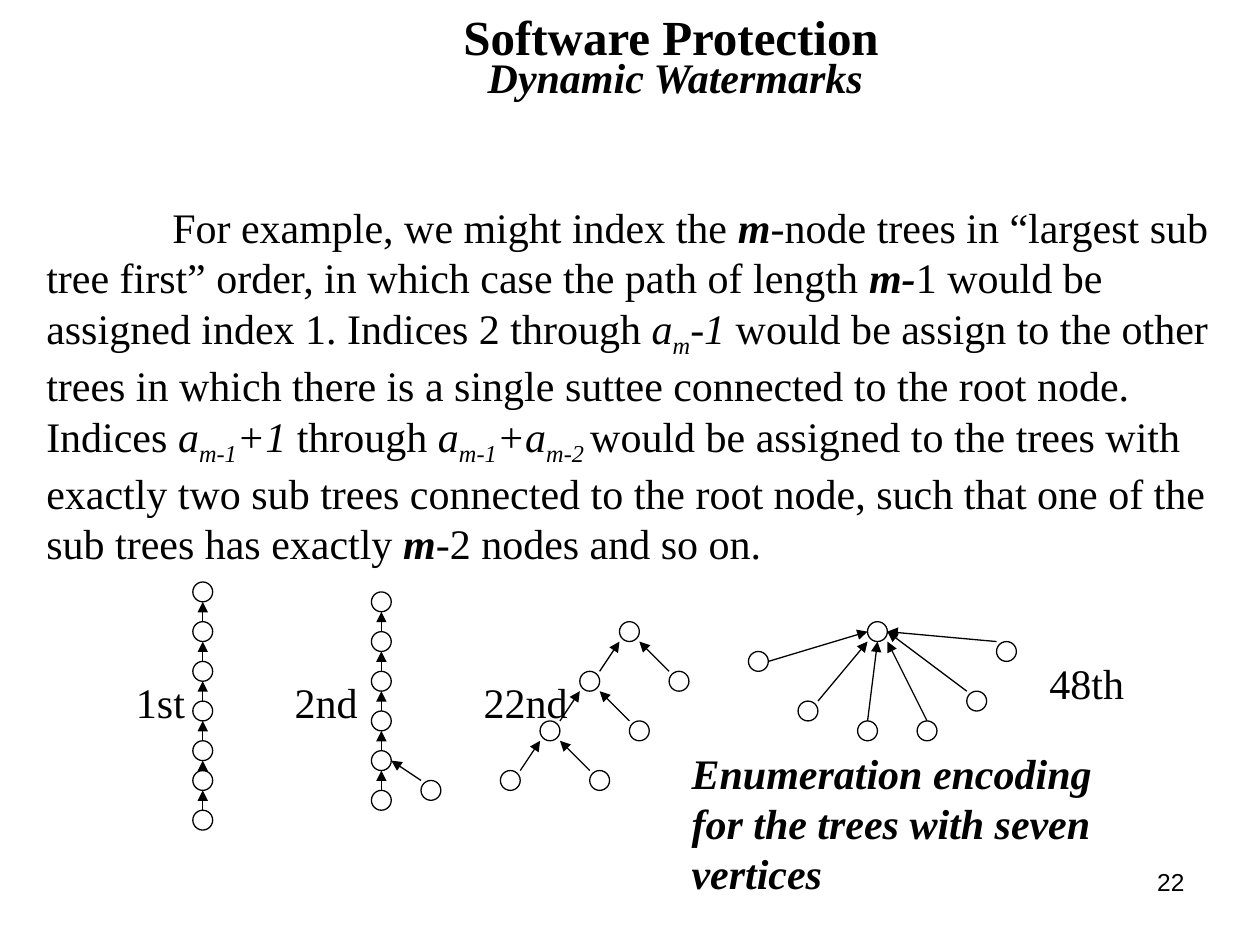
from lxml import etree
from pptx import Presentation
from pptx.dml.color import RGBColor
from pptx.enum import shapes, text
from pptx.oxml import ns
from pptx.util import Pt

BLACK = RGBColor(0, 0, 0)
SERIF = "Times New Roman"
GRID = 5.67  # half a node; all tree nodes sit on this grid
NODE = 2 * GRID
ORIGIN_X, ORIGIN_Y = 110.2, 332.6


def write(box, frame, spans, size=24, font=SERIF, align=text.PP_ALIGN.LEFT, indent=0):
    """Place a box and fill it; span styles are b(old), i(talic), s(ubscript)."""
    box.left, box.top, box.width, box.height = map(Pt, frame)
    body = box.text_frame
    body.word_wrap = True
    body.auto_size = text.MSO_AUTO_SIZE.NONE
    body.vertical_anchor = text.MSO_ANCHOR.TOP
    para = body.paragraphs[0]
    para.alignment = align
    if indent:
        para._p.get_or_add_pPr().set("indent", str(Pt(indent)))
    for words, style in spans:
        span = para.add_run()
        span.text = words
        span.font.name = font
        span.font.size = Pt(size)
        span.font.color.rgb = BLACK
        span.font.bold = "b" in style
        span.font.italic = "i" in style
        if "s" in style:
            span._r.get_or_add_rPr().set("baseline", "-25000")


def add_arrow(page, start, end):
    arrow = page.shapes.add_connector(
        shapes.MSO_CONNECTOR.STRAIGHT, *map(Pt, (*start, *end)))
    arrow.line.color.rgb = BLACK
    arrow.line.width = Pt(0.75)
    line = arrow.line._get_or_add_ln()
    etree.SubElement(line, ns.qn("a:tailEnd"), type="triangle")
    etree.SubElement(arrow._element.spPr, ns.qn("a:effectLst"))


deck = Presentation()
deck.slide_width, deck.slide_height = Pt(720), Pt(540)
page = deck.slides.add_slide(deck.slide_layouts[5])

write(page.shapes.title, (224, 0, 312, 41), [(" Software Protection", "b")],
      size=28, align=text.PP_ALIGN.CENTER)

explanation = [
    ("For example, we might index the ", ""),
    ("m", "bi"),
    ("-node trees in “largest sub tree first” order, in which case the path of length ", ""),
    ("m-", "bi"),
    ("1 would be assigned index 1. Indices 2 through ", ""),
    ("a", "i"), ("m", "is"), ("-1", "i"),
    (" would be assign to the other trees in which there is a single suttee "
     "connected to the root node. Indices ", ""),
    ("a", "i"), ("m-1", "is"), ("+1", "i"),
    (" through ", ""),
    ("a", "i"), ("m-1", "is"), ("+a", "i"), ("m-2 ", "is"),
    ("would be assigned to the trees with exactly two sub trees connected to "
     "the root node, such that one of the sub trees has exactly ", ""),
    ("m", "bi"),
    ("-2 nodes and so on.", ""),
]
caption = "Enumeration encoding for the trees with seven vertices"
for frame, spans, options in [
    ((241.2, 26, 289.4, 36), [("Dynamic Watermarks", "bi")],
     {"align": text.PP_ALIGN.CENTER}),
    ((19.4, 111.6, 700.6, 216.7), explanation, {"indent": 72}),
    ((70.6, 383, 62.6, 36), [("1st", "")], {}),
    ((161.3, 383, 62.6, 36), [("2nd", "")], {}),
    ((269.3, 383, 62.6, 36), [("22nd", "")], {}),
    ((592.6, 372.2, 62.6, 36), [("48th", "")], {}),
    ((388.1, 423.4, 260.6, 93.6), [(caption, "bi")], {}),
    ((516.2, 491.8, 167.8, 37.4), [("22", "")],
     {"size": 14, "font": "Arial", "align": text.PP_ALIGN.RIGHT}),
]:
    write(page.shapes.add_textbox(0, 0, 0, 0), frame, spans, **options)

# Where an arrow leaves the child and meets the parent, in grid steps
# from the top left corner of each node.
UP = ((1, 0), (1, 2))
FROM_LEFT = ((2, 0), (0, 2))
FROM_RIGHT = ((0, 0), (2, 2))
FROM_SIDE = ((0, 0), (2, 1))

# Each node: column, row, index of its parent in the tree, arrow ends.
first = [(0, row, i - 1, UP) for i, row in enumerate([0, 4, 8, 12, 16, 19, 23])]
second = [(18, 1 + 4 * i, i - 1, UP) for i in range(6)] + [(23, 20, 4, FROM_SIDE)]
twenty_second = [(43 - 4 * i, 4 + 5 * i, i - 1, FROM_LEFT) for i in range(4)]
twenty_second += [(48 - 4 * i, 9 + 5 * i, i, FROM_RIGHT) for i in range(3)]
forty_eighth = [
    (68, 4, -1, UP),
    (56, 7, 0, ((2, 1), (0, 1))),
    (61, 12, 0, FROM_LEFT),
    (67, 14, 0, UP),
    (73, 14, 0, ((1, 0), (2, 2))),
    (78, 11, 0, FROM_SIDE),
    (81, 6, 0, FROM_SIDE),
]

for tree in (first, second, twenty_second, forty_eighth):
    for column, row, parent, ends in tree:
        node = page.shapes.add_shape(
            shapes.MSO_SHAPE.OVAL, Pt(ORIGIN_X + column * GRID),
            Pt(ORIGIN_Y + row * GRID), Pt(NODE), Pt(NODE))
        node.shadow.inherit = False
        node.fill.background()
        node.line.color.rgb = BLACK
        node.line.width = Pt(0.75)
        if parent >= 0:
            corners = ((column, row), tree[parent][:2])
            start, end = [
                (ORIGIN_X + (x + dx) * GRID, ORIGIN_Y + (y + dy) * GRID)
                for (x, y), (dx, dy) in zip(corners, ends)]
            add_arrow(page, start, end)

deck.save("out.pptx")
